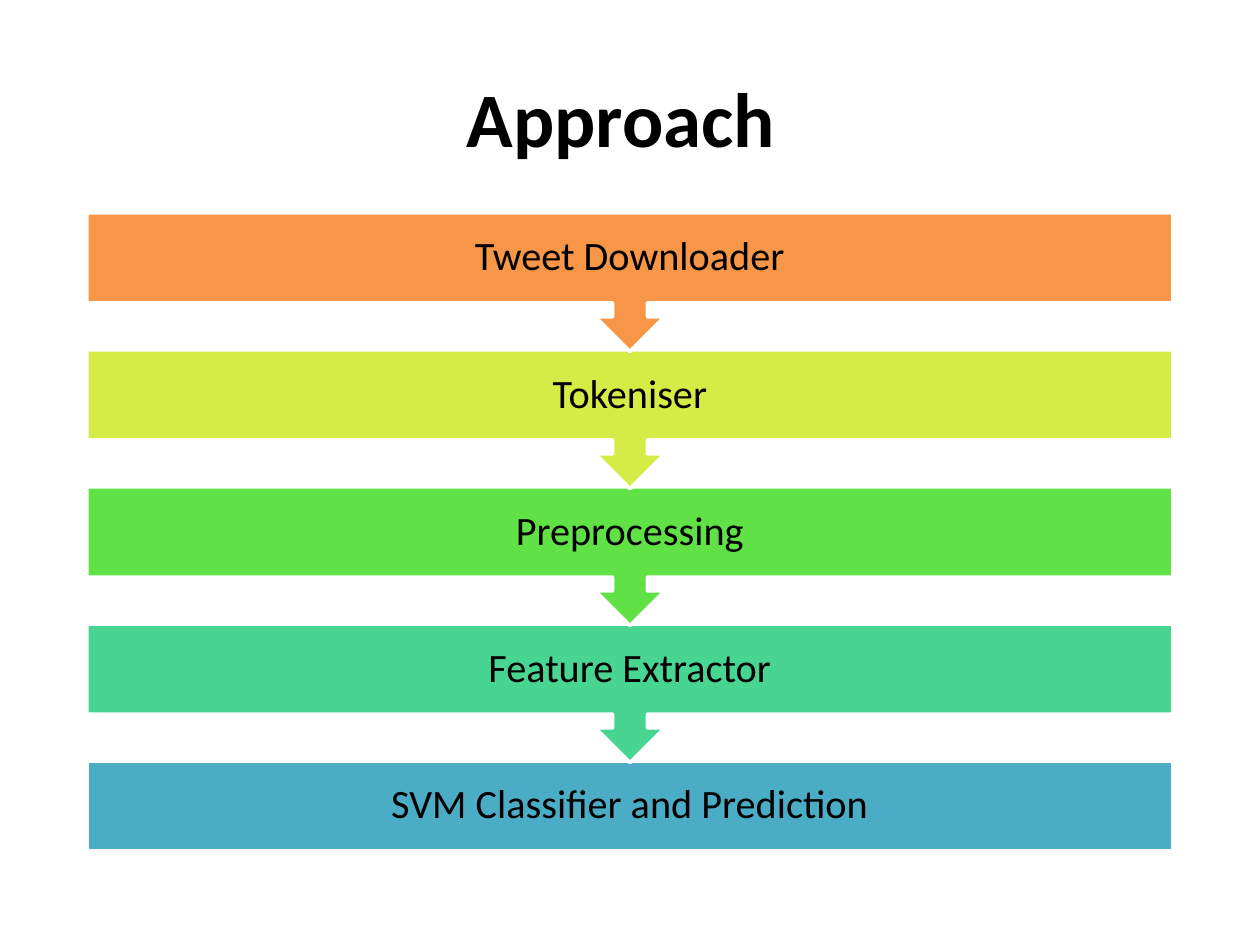
from dataclasses import dataclass

from pptx import Presentation
from pptx.dml.color import RGBColor
from pptx.enum.shapes import MSO_SHAPE
from pptx.enum.text import MSO_ANCHOR, PP_ALIGN
from pptx.util import Pt

RECTANGLE = MSO_SHAPE.RECTANGLE
DOWN_CALLOUT = MSO_SHAPE.DOWN_ARROW_CALLOUT
MIDDLE = MSO_ANCHOR.MIDDLE
CENTER = PP_ALIGN.CENTER
BLANK_LAYOUT = 6

SLIDE_WIDTH, SLIDE_HEIGHT = 720, 540
STEP_LEFT, STEP_WIDTH = 49.7, 620.6
FIRST_STEP_TOP, STEP_PITCH = 121.7, 78.3
BAR_HEIGHT, CALLOUT_HEIGHT = 51.3, 79.2

STEPS = [
    ("Tweet Downloader", "F79646"),
    ("Tokeniser", "D5EC46"),
    ("Preprocessing", "60E146"),
    ("Feature Extractor", "48D491"),
    ("SVM Classifier and Prediction", "4BACC6"),
]


@dataclass(frozen=True)
class Theme:
    font: str = "Calibri"
    text_color: str = "000000"
    outline_color: str = "FFFFFF"
    title_size: float = 44
    step_size: float = 23
    outline_width: float = 2
    step_inset: float = 13


class SlideBuilder:
    def __init__(self, slide, theme):
        self.slide = slide
        self.theme = theme

    def add_centered_line(self, frame, text, size, bold=False):
        frame.word_wrap = True
        frame.vertical_anchor = MIDDLE
        paragraph = frame.paragraphs[0]
        paragraph.alignment = CENTER
        run = paragraph.add_run()
        run.text = text
        run.font.name = self.theme.font
        run.font.size = Pt(size)
        run.font.bold = bold
        run.font.color.rgb = RGBColor.from_string(self.theme.text_color)
        return paragraph

    def add_title(self, text, left, top, width, height):
        box = self.slide.shapes.add_textbox(Pt(left), Pt(top), Pt(width), Pt(height))
        self.add_centered_line(box.text_frame, text, self.theme.title_size, bold=True)

    def add_step(self, kind, text, color, top, height):
        shape = self.slide.shapes.add_shape(
            kind, Pt(STEP_LEFT), Pt(top), Pt(STEP_WIDTH), Pt(height)
        )
        shape.shadow.inherit = False
        shape.fill.solid()
        shape.fill.fore_color.rgb = RGBColor.from_string(color)
        shape.line.color.rgb = RGBColor.from_string(self.theme.outline_color)
        shape.line.width = Pt(self.theme.outline_width)
        frame = shape.text_frame
        inset = Pt(self.theme.step_inset)
        frame.margin_left = frame.margin_right = inset
        frame.margin_top = frame.margin_bottom = inset
        paragraph = self.add_centered_line(frame, text, self.theme.step_size)
        paragraph.line_spacing = 0.9


def main():
    presentation = Presentation()
    presentation.slide_width = Pt(SLIDE_WIDTH)
    presentation.slide_height = Pt(SLIDE_HEIGHT)
    slide = presentation.slides.add_slide(presentation.slide_layouts[BLANK_LAYOUT])
    builder = SlideBuilder(slide, Theme())

    builder.add_title("Approach ", 36, 21.6, 648, 90)
    last = len(STEPS) - 1
    # Later steps lie behind, so each arrow tip overlaps the bar below it.
    for index, (text, color) in reversed(list(enumerate(STEPS))):
        kind, height = (
            (RECTANGLE, BAR_HEIGHT) if index == last else (DOWN_CALLOUT, CALLOUT_HEIGHT)
        )
        builder.add_step(kind, text, color, FIRST_STEP_TOP + index * STEP_PITCH, height)

    presentation.save("out.pptx")


if __name__ == "__main__":
    main()
